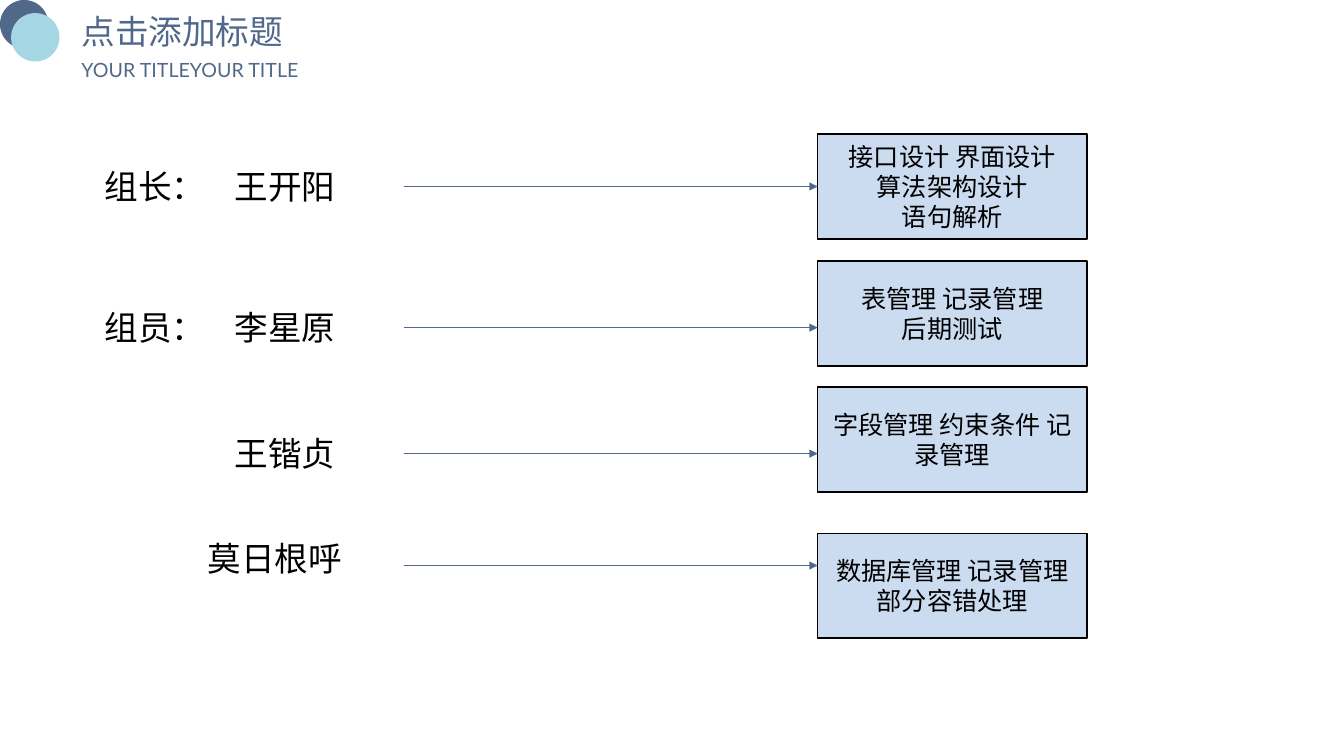
from pptx import Presentation
from pptx import util as u
from pptx.dml.color import RGBColor
from pptx.enum import shapes, text
from pptx.oxml import ns, xmlchemy

SLATE = RGBColor(0x50, 0x68, 0x8A)
AQUA = RGBColor(0xA5, 0xD6, 0xE4)
PALE = RGBColor(0xCB, 0xDC, 0xF0)
BLACK = RGBColor(0, 0, 0)
LATIN, CJK = "Lato", "Noto Sans CJK SC"


def px(n):
    """Turn whole px, 100 to the inch, into EMU."""
    return u.Emu(n * 9144)


def child(parent, tag, **attrs):
    """Append an XML element with the given attributes."""
    el = xmlchemy.OxmlElement(tag)
    for key, value in attrs.items():
        el.set(key, str(value))
    parent.append(el)
    return el


class Deck:
    """Holds the style and the current slide."""

    def __init__(self):
        """Start a wide presentation with one blank slide."""
        self.prs = Presentation()
        self.prs.slide_width, self.prs.slide_height = px(1333), px(750)
        self.s = self.prs.slides.add_slide(self.prs.slide_layouts[6])

    def set_text(self, tf, lines, size, font, color, align=None, tab=None):
        """Fill a text frame, one paragraph per line."""
        tf.word_wrap = True
        for i, line in enumerate(lines):
            p = tf.add_paragraph() if i else tf.paragraphs[0]
            p.text = line
            p.alignment = align
            if tab:
                stops = child(p._p.get_or_add_pPr(), "a:tabLst")
                child(stops, "a:tab", pos=px(tab), algn="l")
            p.font.size, p.font.name = u.Pt(size), font
            p.font.color.rgb = color
            child(p._p.pPr.find(ns.qn("a:defRPr")), "a:ea", typeface=CJK)

    def label(self, x, y, w, h, line, size, font, color, tab=None):
        """Add a one-line text box."""
        sp = self.s.shapes.add_textbox(px(x), px(y), px(w), px(h))
        self.set_text(sp.text_frame, [line], size, font, color, tab=tab)

    def shape(self, kind, x, y, w, h, fill):
        """Add a filled shape without outline or shadow."""
        sp = self.s.shapes.add_shape(kind, px(x), px(y), px(w), px(h))
        sp.shadow.inherit = False
        sp.fill.solid()
        sp.fill.fore_color.rgb = fill
        sp.line.fill.background()
        return sp

    def circle(self, x, y, fill):
        """Add a header circle."""
        self.shape(shapes.MSO_SHAPE.OVAL, x, y, 48, 48, fill)

    def task_box(self, x, y, lines):
        """Add an outlined box of tasks."""
        sp = self.shape(shapes.MSO_SHAPE.RECTANGLE, x, y, 267, 104, PALE)
        sp.line.color.rgb, sp.line.width = BLACK, u.Pt(1)
        sp.text_frame.vertical_anchor = text.MSO_ANCHOR.MIDDLE
        self.set_text(sp.text_frame, lines, 18, CJK, BLACK,
                      text.PP_ALIGN.CENTER)

    def arrow(self, x1, x2, y):
        """Add a horizontal arrow."""
        c = self.s.shapes.add_connector(
            shapes.MSO_CONNECTOR.STRAIGHT, px(x1), px(y), px(x2), px(y))
        c.line.color.rgb, c.line.width = SLATE, u.Pt(0.5)
        props = c._element.spPr
        child(props.find(ns.qn("a:ln")), "a:tailEnd", type="triangle")
        child(props, "a:effectLst")


MEMBERS = [
    ("组长：\t王开阳", 129, 160, 185, 133,
     ["接口设计 界面设计", "算法架构设计", "语句解析"]),
    ("组员：\t李星原", 129, 300, 325, 259, ["表管理 记录管理", "后期测试"]),
    ("\t王锴贞", 129, 425, 450, 384, ["字段管理 约束条件 记录管理"]),
    ("\t莫日根呼", 102, 529, 561, 529, ["数据库管理 记录管理", "部分容错处理"]),
]


def main():
    """Build and save the slide."""
    deck = Deck()
    deck.label(71, 6, 303, 50, "点击添加标题", 24, LATIN, SLATE)
    deck.label(71, 53, 307, 34, "YOUR TITLEYOUR TITLE", 14, LATIN, SLATE)
    deck.circle(0, 0, SLATE)
    deck.circle(11, 13, AQUA)
    for name, tab, name_y, arrow_y, box_y, tasks in MEMBERS:
        deck.label(94, name_y, 283, 50, name, 24, CJK, BLACK, tab)
        deck.task_box(811, box_y, tasks)
        deck.arrow(401, 811, arrow_y)
    deck.prs.save("out.pptx")


if __name__ == "__main__":
    main()
